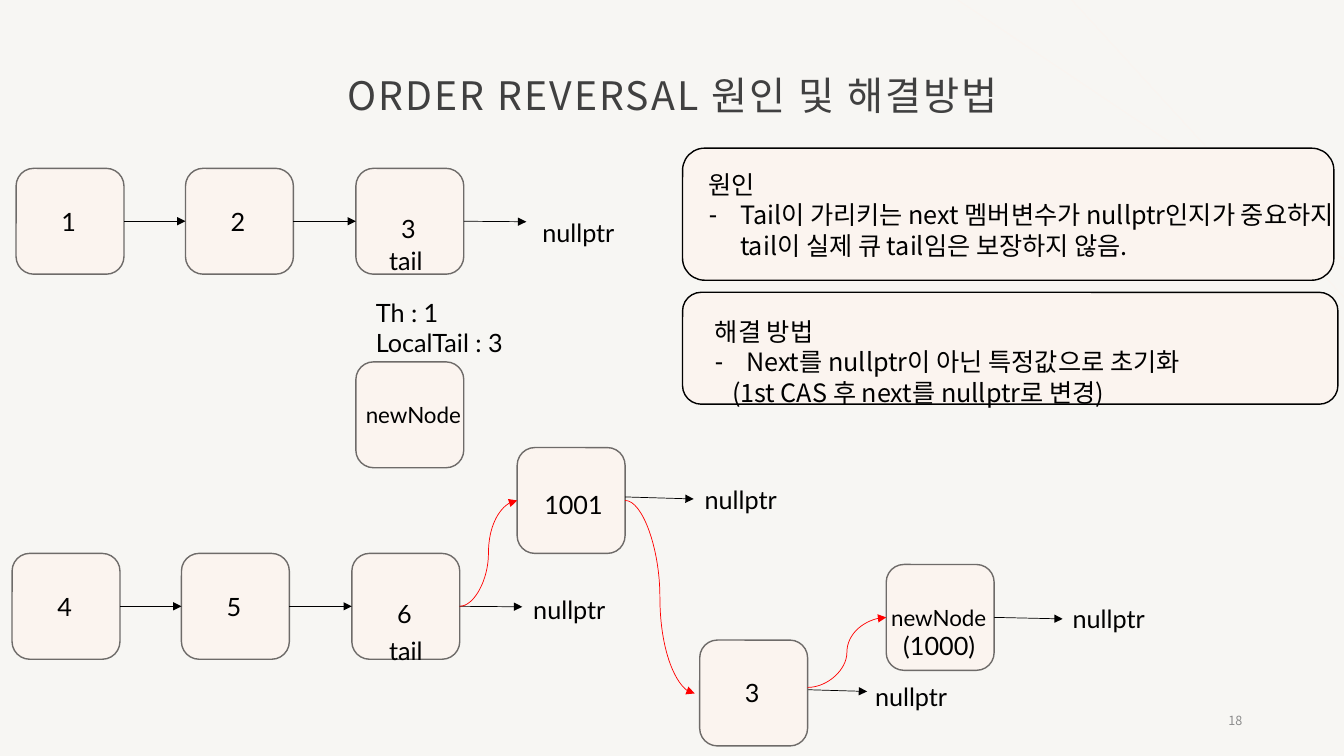
"""Draws a slide on the cause of and fix for order reversal in a linked queue."""
from lxml import etree
from pptx import Presentation
from pptx import util as u
from pptx.dml.color import RGBColor
from pptx.enum import shapes, text
from pptx.oxml.ns import qn

SCALE = 9144
KOREAN = "Noto Sans CJK KR"
LATIN = "Lato"


def px(length):
    return u.Emu(int(length * SCALE))


def colour(value):
    return RGBColor.from_string(value)


class QueueSlide:
    NODE_WIDTH, NODE_HEIGHT = 107, 105
    FILL, BLACK, GREY, RED = "FBF4EF", "000000", "6E6B69", "FF0000"

    def __init__(self, presentation):
        self.slide = presentation.slides.add_slide(presentation.slide_layouts[3])
        self.slide.background.fill.solid()
        self.slide.background.fill.fore_color.rgb = colour("F7F6F3")

    def format(self, paragraph, size, font=LATIN, ink=BLACK, spacing=None):
        for run in paragraph.runs:
            run.font.size = u.Pt(size)
            run.font.name = font
            run.font.color.rgb = colour(ink)
            properties = run.font._element
            etree.SubElement(properties, qn("a:ea")).set("typeface", font)
            if spacing:
                properties.set("spc", str(spacing))

    def indent(self, paragraph, margin, hanging=0, bullet=None):
        properties = paragraph._p.get_or_add_pPr()
        properties.set("marL", str(px(margin)))
        properties.set("indent", str(px(-hanging)))
        if bullet:
            etree.SubElement(properties, qn("a:buChar")).set("char", bullet)
        else:
            etree.SubElement(properties, qn("a:buNone"))

    def place(self, shape, left, top, width, height):
        shape.left, shape.top = px(left), px(top)
        shape.width, shape.height = px(width), px(height)

    def title(self, words, *bounds):
        shape = self.slide.shapes.title
        self.place(shape, *bounds)
        frame = shape.text_frame
        frame.text = words
        frame.auto_size = text.MSO_AUTO_SIZE.NONE
        frame.vertical_anchor = text.MSO_ANCHOR.MIDDLE
        paragraph = frame.paragraphs[0]
        paragraph.alignment = text.PP_ALIGN.CENTER
        paragraph.line_spacing = 0.9
        self.format(paragraph, 28, KOREAN, "404040", 150)

    def label(self, words, left, top, width=101, height=40, size=18):
        box = self.slide.shapes.add_textbox(px(left), px(top), px(width), px(height))
        frame = box.text_frame
        frame.word_wrap = True
        frame.text = words
        for paragraph in frame.paragraphs:
            self.format(paragraph, size)
        return frame

    def page_number(self, number, *bounds):
        frame = self.label(number, *bounds)
        frame.vertical_anchor = text.MSO_ANCHOR.MIDDLE
        frame.paragraphs[0].alignment = text.PP_ALIGN.RIGHT
        self.format(frame.paragraphs[0], 9, KOREAN, "8C8C8C")

    def box(self, left, top, width, height, outline):
        shape = self.slide.shapes.add_shape(
            shapes.MSO_SHAPE.ROUNDED_RECTANGLE, px(left), px(top), px(width), px(height))
        shape.shadow.inherit = False
        shape.fill.solid()
        shape.fill.fore_color.rgb = colour(self.FILL)
        shape.line.color.rgb = colour(outline)
        shape.line.width = u.Pt(1)
        return shape

    def node(self, words, left, top, shift=(35, 33), width=62, size=18):
        shape = self.box(left, top, self.NODE_WIDTH, self.NODE_HEIGHT, self.GREY)
        frame = self.label(words, left + shift[0], top + shift[1], width, size=size)
        return shape, frame

    def note(self, index, bounds, body_bounds, lines):
        self.box(*bounds, self.BLACK)
        body = self.slide.placeholders[index]
        self.place(body, *body_bounds)
        self.slide.shapes.element.append(body.element)
        frame = body.text_frame
        frame.text = "\n".join(words for words, _ in lines)
        frame.auto_size = text.MSO_AUTO_SIZE.NONE
        for paragraph, (_, layout) in zip(frame.paragraphs, lines):
            paragraph.space_before = u.Pt(0)
            paragraph.line_spacing = u.Pt(21.6)
            self.indent(paragraph, *layout)
            self.format(paragraph, 18, KOREAN)

    def line(self, start, end, ink=BLACK, kind="STRAIGHT", source=None, target=None, arrow=True):
        connector = self.slide.shapes.add_connector(
            shapes.MSO_CONNECTOR[kind], *map(px, start), *map(px, end))
        if source is not None:
            connector.begin_connect(source, 3)
        if target is not None:
            connector.end_connect(target, 1)
        connector.line.color.rgb = colour(ink)
        connector.line.width = u.Pt(0.5)
        if arrow:
            tail = etree.SubElement(connector.line._get_or_add_ln(), qn("a:tailEnd"))
            tail.set("type", "triangle")
        etree.SubElement(connector.element.spPr, qn("a:effectLst"))

    def queue(self, names, left, top):
        nodes = []
        for position, name in enumerate(names):
            shift = (35, 40) if name == names[-1] else (35, 33)
            nodes.append(self.node(name, left + round(168.5 * position), top, shift)[0])
        middle = top + 52
        for source, target in zip(nodes, nodes[1:]):
            self.line((left, middle), (left, middle), source=source, target=target)
        self.line((left + 445, middle), (left + 506, middle + 1), source=nodes[-1])
        return nodes[-1]


def main():
    presentation = Presentation()
    presentation.slide_width, presentation.slide_height = px(1333), px(750)
    page = QueueSlide(presentation)

    for start, end in (((950, 0), (1333, 257)), ((1063, 0), (1333, 295))):
        page.line(start, end, page.FILL, arrow=False)
    page.title("ORDER REVERSAL 원인 및 해결방법", 207, 24, 921, 145)
    page.page_number("18", 942, 695, 300, 40)

    plain, dashed = (0,), (31, 31, "-")
    page.note(1, (677, 147, 646, 131), (693, 163, 640, 131), (
        ("원인", plain),
        ("Tail이 가리키는 next 멤버변수가 nullptr인지가 중요하지 "
         "tail이 실제 큐 tail임은 보장하지 않음.", dashed)))
    page.note(2, (677, 290, 650, 111), (699, 309, 640, 131), (
        ("해결 방법", plain),
        ("Next를 nullptr이 아닌 특정값으로 초기화", dashed),
        ("(1st CAS 후 next를 nullptr로 변경)", (17,))))

    page.queue("123", 16, 167)
    six = page.queue("456", 12, 549)
    page.line((792, 684), (860, 686))
    page.node("3", 694, 635, (35, 32))
    page.node("newNode", 353, 359, (0, 34), 130, 16)
    new_node, frame = page.node("newNode\n(1000)", 879, 560, (-5, 34), 130, 16)
    page.format(frame.paragraphs[1], 18)
    page.indent(frame.paragraphs[1], 12)
    inserted, _ = page.node("1001", 513, 444, (17, 37), 130)

    page.line((620, 493), (688, 495))
    page.line((985, 612), (1054, 614), source=new_node)
    page.line((801, 682), (879, 610), page.RED, "CURVE", target=new_node)
    page.line((456, 601), (513, 498), page.RED, "CURVE", six, inserted)
    page.line((620, 496), (689, 688), page.RED, "CURVE", inserted)

    page.label("Th : 1\nLocalTail : 3", 363, 290, 234, 101)
    for top in (238, 625):
        page.label("tail", 376, top)
    for left, top in ((528, 211), (519, 585), (689, 476), (858, 671), (1054, 594)):
        page.label("nullptr", left, top)
    presentation.save("out.pptx")


if __name__ == "__main__":
    main()
